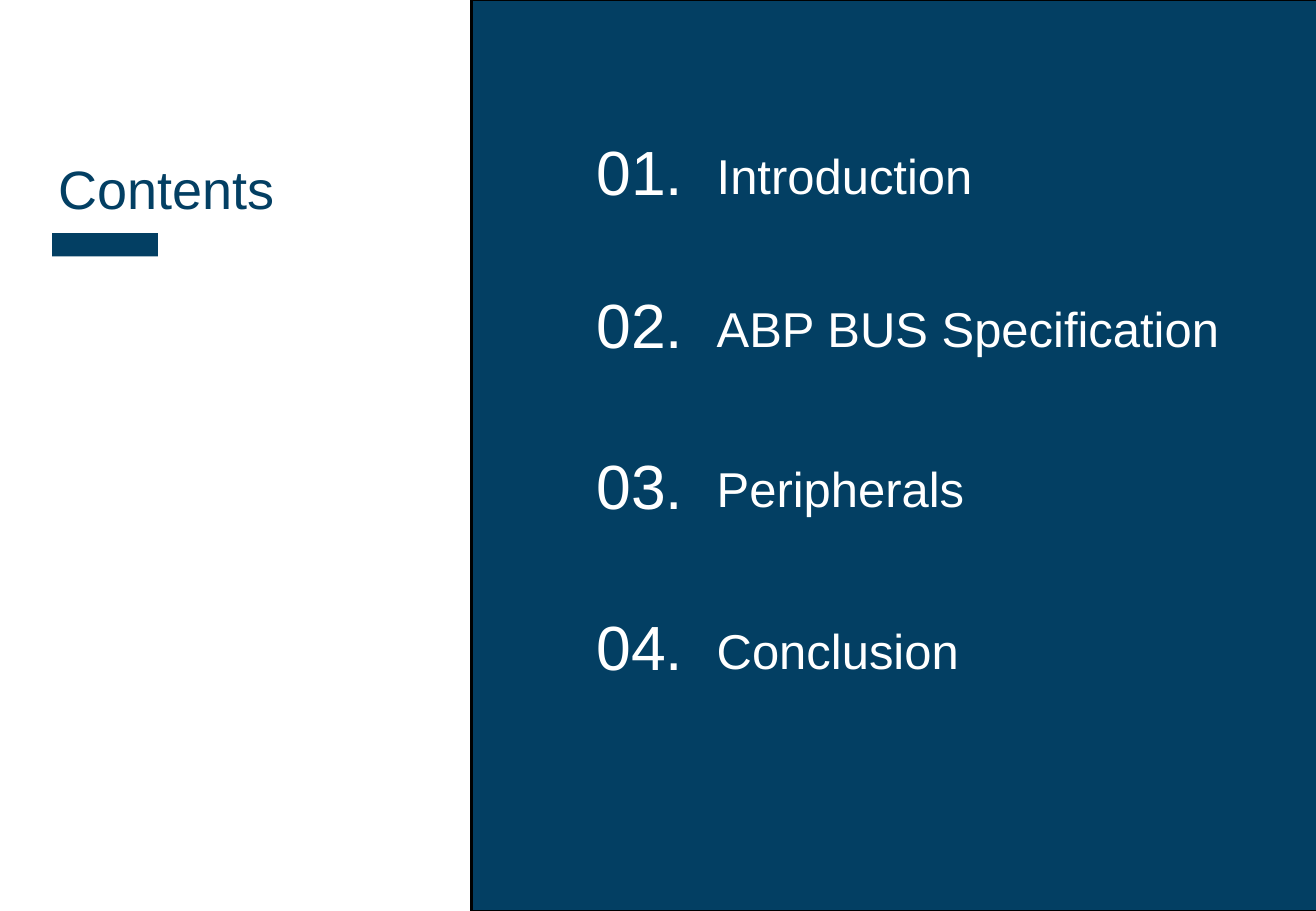
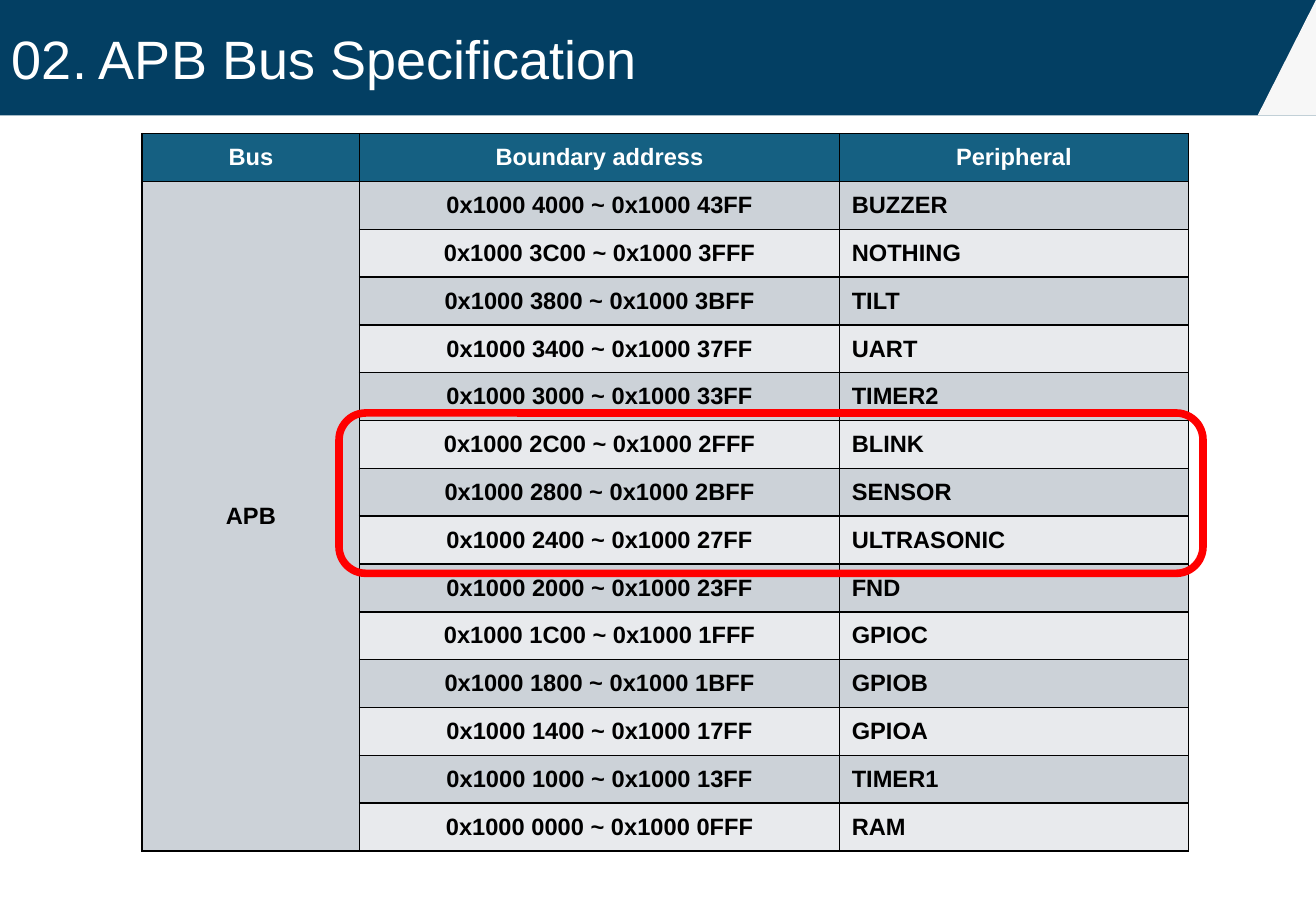
from lxml import etree
from pptx import Presentation
from pptx.dml.color import RGBColor
from pptx.enum.shapes import MSO_SHAPE
from pptx.enum.text import MSO_ANCHOR, PP_ALIGN
from pptx.oxml.ns import qn
from pptx.util import Inches, Pt

RECTANGLE = MSO_SHAPE.RECTANGLE
ROUNDED_RECTANGLE = MSO_SHAPE.ROUNDED_RECTANGLE
RIGHT_TRIANGLE = MSO_SHAPE.RIGHT_TRIANGLE
LEFT, CENTER = PP_ALIGN.LEFT, PP_ALIGN.CENTER
MIDDLE = MSO_ANCHOR.MIDDLE

FONT = "Arial"
TITLE_SIZE = 32
SLIDE_WIDTH, SLIDE_HEIGHT = 10.83, 7.5
COLORS = {
    "navy": "033F63",
    "white": "FFFFFF",
    "black": "000000",
    "corner": "F7F7F7",
    "header": "156082",
    "dark_row": "CCD2D8",
    "light_row": "E8EAED",
    "highlight": "FF0000",
}

# Top of each entry, its number and its label
CONTENTS = [
    (1.05, "01.", "Introduction"),
    (2.31, "02.", "ABP BUS Specification"),
    (3.63, "03.", "Peripherals"),
    (4.96, "04.", "Conclusion"),
]

TABLE_HEADERS = ["Bus", "Boundary address", "Peripheral"]
ADDRESS_MAP = [
    ("0x1000 4000 ~ 0x1000 43FF", "BUZZER"),
    ("0x1000 3C00 ~ 0x1000 3FFF", "NOTHING"),
    ("0x1000 3800 ~ 0x1000 3BFF", "TILT"),
    ("0x1000 3400 ~ 0x1000 37FF", "UART"),
    ("0x1000 3000 ~ 0x1000 33FF", "TIMER2"),
    ("0x1000 2C00 ~ 0x1000 2FFF", "BLINK"),
    ("0x1000 2800 ~ 0x1000 2BFF", "SENSOR"),
    ("0x1000 2400 ~ 0x1000 27FF", "ULTRASONIC"),
    ("0x1000 2000 ~ 0x1000 23FF", "FND"),
    ("0x1000 1C00 ~ 0x1000 1FFF", "GPIOC"),
    ("0x1000 1800 ~ 0x1000 1BFF", "GPIOB"),
    ("0x1000 1400 ~ 0x1000 17FF", "GPIOA"),
    ("0x1000 1000 ~ 0x1000 13FF", "TIMER1"),
    ("0x1000 0000 ~ 0x1000 0FFF", "RAM"),
]


def color(name):
    return RGBColor.from_string(COLORS[name])


def write_text(text_frame, text, size, color_name, bold=False, align=LEFT):
    paragraph = text_frame.paragraphs[0]
    paragraph.alignment = align
    run = paragraph.add_run()
    run.text = text
    run.font.name = FONT
    run.font.size = Pt(size)
    run.font.bold = bold
    run.font.color.rgb = color(color_name)


def add_text(slide, box, text, **text_format):
    text_box = slide.shapes.add_textbox(*map(Inches, box))
    text_box.text_frame.word_wrap = True
    write_text(text_box.text_frame, text, **text_format)


def add_shape(shapes, kind, box, fill=None, line=None, line_width=1):
    shape = shapes.add_shape(kind, *map(Inches, box))
    shape.shadow.inherit = False
    if fill:
        shape.fill.solid()
        shape.fill.fore_color.rgb = color(fill)
    else:
        shape.fill.background()
    if line:
        shape.line.color.rgb = color(line)
        shape.line.width = Pt(line_width)
    else:
        shape.line.fill.background()
    return shape


def add_title(slide, box, text, color_name):
    add_text(slide, box, text, size=TITLE_SIZE, color_name=color_name)


def add_contents_heading(slide, left, top):
    add_title(slide, (left, top, 3.23, 0.63), "Contents", "navy")
    add_shape(slide.shapes, RECTANGLE, (left + 0.05, top + 0.69, 0.87, 0.19), fill="navy")


def add_contents_panel(slide, left, top, width, height):
    add_shape(slide.shapes, RECTANGLE, (left, top, width, height),
              fill="navy", line="black", line_width=1.5)
    for entry_top, number, label in CONTENTS:
        add_text(slide, (left + 0.93, top + entry_top, 1.45, 0.71), number,
                 size=37, color_name="white")
        add_text(slide, (left + 1.92, top + entry_top + 0.1, 4.77, 0.57), label,
                 size=29, color_name="white")


def add_title_band(slide, title, left, top, width, height):
    """Band with a cut lower right corner and the slide title."""
    cut = 0.48
    band = slide.shapes.add_group_shape()
    add_shape(band.shapes, RECTANGLE, (left, top, width, height), fill="navy")
    corner = add_shape(band.shapes, RIGHT_TRIANGLE,
                       (left + width - cut, top, cut, height), fill="corner")
    corner.element.spPr.xfrm.set("flipH", "1")
    add_title(slide, (left, top + 0.16, 6.18, 0.63), title, "white")


def add_cell_borders(cell, color_name, width):
    properties = cell._tc.get_or_add_tcPr()
    for side in ("a:lnL", "a:lnR", "a:lnT", "a:lnB"):
        line = etree.SubElement(properties, qn(side), w=str(Pt(width)))
        fill = etree.SubElement(line, qn("a:solidFill"))
        etree.SubElement(fill, qn("a:srgbClr"), val=COLORS[color_name])


def format_cell(cell, text, fill, text_color, align):
    add_cell_borders(cell, "black", 1)
    cell.fill.solid()
    cell.fill.fore_color.rgb = color(fill)
    cell.vertical_anchor = MIDDLE
    if text:
        write_text(cell.text_frame, text, size=14, color_name=text_color,
                   bold=True, align=align)


def add_address_table(slide, left, top, width, height):
    row_count = len(ADDRESS_MAP) + 1
    table = slide.shapes.add_table(row_count, len(TABLE_HEADERS),
                                   *map(Inches, (left, top, width, height))).table
    for column, column_width in zip(table.columns, (1.79, 3.95, 2.87)):
        column.width = Inches(column_width)
    for row in table.rows:
        row.height = Inches(height / row_count)

    for column_index, header in enumerate(TABLE_HEADERS):
        format_cell(table.cell(0, column_index), header, "header", "white", CENTER)
    for row_index, (address, peripheral) in enumerate(ADDRESS_MAP, start=1):
        fill = "dark_row" if row_index % 2 else "light_row"
        bus = "APB" if row_index == 1 else ""
        format_cell(table.cell(row_index, 0), bus, "dark_row", "black", CENTER)
        format_cell(table.cell(row_index, 1), address, fill, "black", CENTER)
        format_cell(table.cell(row_index, 2), peripheral, fill, "black", LEFT)
    table.cell(1, 0).merge(table.cell(row_count - 1, 0))


def add_blank_slide(presentation):
    return presentation.slides.add_slide(presentation.slide_layouts[6])


def build_contents_slide(presentation):
    slide = add_blank_slide(presentation)
    add_contents_panel(slide, 3.88, 0, 8.2, SLIDE_HEIGHT)
    add_contents_heading(slide, 0.38, 1.23)


def build_specification_slide(presentation):
    slide = add_blank_slide(presentation)
    add_title_band(slide, "02. APB Bus Specification", 0, 0, SLIDE_WIDTH, 0.95)
    add_address_table(slide, 1.17, 1.1, 8.61, 5.91)
    add_shape(slide.shapes, ROUNDED_RECTANGLE, (2.79, 3.4, 7.11, 1.32),
              line="highlight", line_width=4.5)


def main():
    presentation = Presentation()
    presentation.slide_width = Inches(SLIDE_WIDTH)
    presentation.slide_height = Inches(SLIDE_HEIGHT)
    build_contents_slide(presentation)
    build_specification_slide(presentation)
    presentation.save("out.pptx")


if __name__ == "__main__":
    main()
